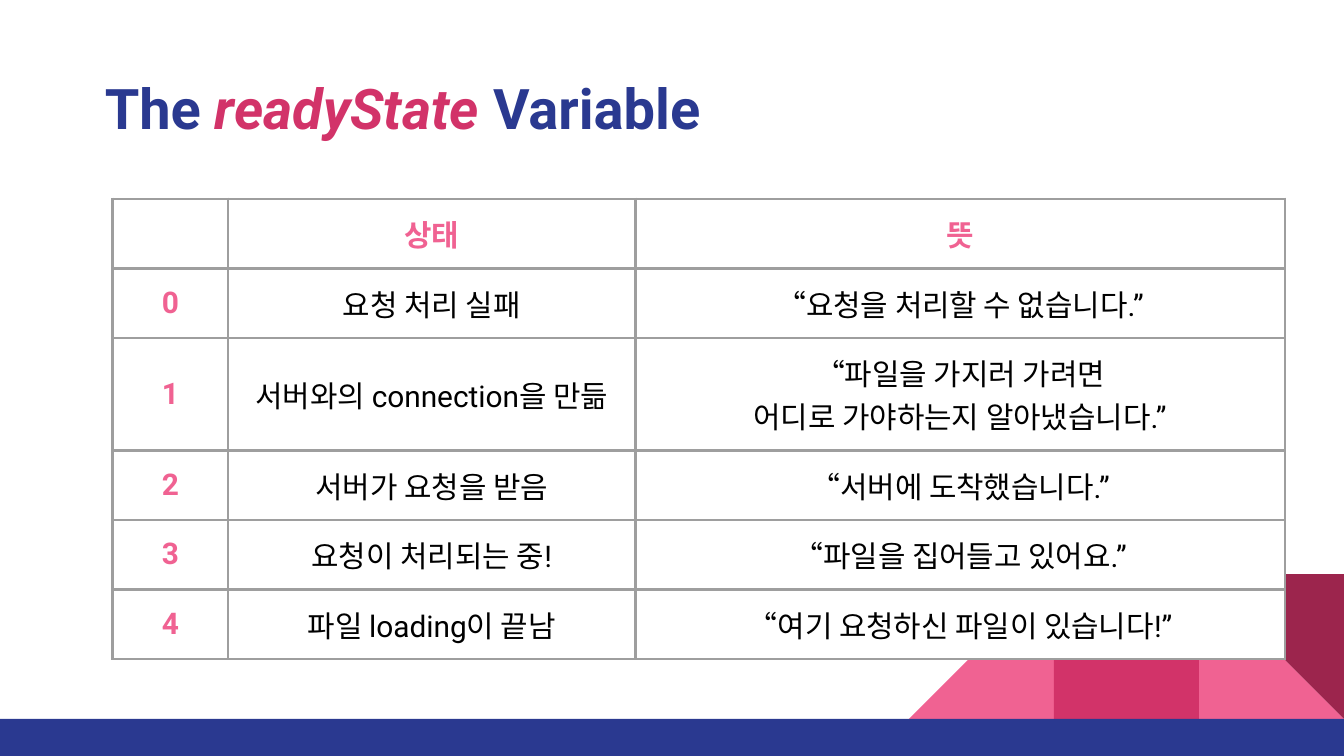
"""Build the slide that explains the values of the readyState variable."""
from lxml import etree
from pptx import Presentation
from pptx import util as u
from pptx.dml.color import RGBColor
from pptx.enum import shapes, text
from pptx.oxml.ns import qn

NAVY = RGBColor(0x2A, 0x39, 0x90)
PINK = RGBColor(0xF0, 0x62, 0x92)
ROSE = RGBColor(0xD2, 0x33, 0x69)
WINE = RGBColor(0x9C, 0x25, 0x4D)
GREY = RGBColor(0x9E, 0x9E, 0x9E)
BLACK = RGBColor(0x00, 0x00, 0x00)
WHITE = RGBColor(0xFF, 0xFF, 0xFF)

FONT = "Roboto"
INSET = u.Cm(0.25)
PAGE_WIDTH, PAGE_HEIGHT = u.Cm(25.4), u.Cm(14.29)
BAND_TOP = u.Cm(13.59)
TILE = u.Cm(2.74)
COLUMN_WIDTHS = [u.Cm(2.18), u.Cm(7.7), u.Cm(12.27)]
ROW_HEIGHT = u.Cm(1.08)

TITLE = [("The ", NAVY, False), ("readyState ", ROSE, True), ("Variable", NAVY, False)]
STATES = [
    ("", "상태", "뜻"),
    ("0", "요청 처리 실패", "“요청을 처리할 수 없습니다.”"),
    ("1", "서버와의 connection을 만듦", "“파일을 가지러 가려면\n어디로 가야하는지 알아냈습니다.”"),
    ("2", "서버가 요청을 받음", "“서버에 도착했습니다.”"),
    ("3", "요청이 처리되는 중!", "“파일을 집어들고 있어요.”"),
    ("4", "파일 loading이 끝남", "“여기 요청하신 파일이 있습니다!”"),
]


def add_block(page, kind, left, top, width, height, color):
    """Add a flat shape without outline or shadow and return it."""
    block = page.shapes.add_shape(kind, left, top, width, height)
    block.shadow.inherit = False
    block.fill.solid()
    block.fill.fore_color.rgb = color
    block.line.fill.background()
    return block


def add_decoration(page):
    """Add the folded corner tiles and the band along the bottom."""
    triangle, rectangle = shapes.MSO_SHAPE.RIGHT_TRIANGLE, shapes.MSO_SHAPE.RECTANGLE
    top = BAND_TOP - TILE
    left, middle, right = (PAGE_WIDTH - count * TILE for count in (3, 2, 1))
    add_block(page, triangle, right, top, TILE, TILE, PINK)
    slope = add_block(page, triangle, left, top, TILE, TILE, PINK)
    slope._element.spPr.xfrm.set("flipH", "1")
    add_block(page, rectangle, middle, top, TILE, TILE, ROSE)
    add_block(page, triangle, right, top, TILE, TILE, WINE).rotation = 180
    add_block(page, rectangle, 0, BAND_TOP, PAGE_WIDTH, PAGE_HEIGHT - BAND_TOP, NAVY)


def set_title(page):
    """Place the title and write its coloured runs."""
    box = page.shapes.title
    box.left, box.top, box.width, box.height = u.Cm(1.73), u.Cm(1.14), u.Cm(22.81), u.Cm(1.68)
    frame = box.text_frame
    frame.auto_size = text.MSO_AUTO_SIZE.NONE
    frame.word_wrap = True
    frame.vertical_anchor = text.MSO_ANCHOR.TOP
    frame.margin_left = frame.margin_right = frame.margin_top = frame.margin_bottom = INSET
    para = frame.paragraphs[0]
    para.alignment = text.PP_ALIGN.LEFT
    for words, color, italic in TITLE:
        span = para.add_run()
        span.text = words
        span.font.name, span.font.size, span.font.bold = FONT, u.Pt(30), True
        span.font.italic = italic
        span.font.color.rgb = color


def set_borders(cell):
    """Draw a grey line on all four sides of a cell."""
    properties = cell._tc.get_or_add_tcPr()
    for side in ("lnL", "lnR", "lnT", "lnB"):
        line = etree.SubElement(properties, qn(f"a:{side}"), w=str(u.Pt(1.5)))
        fill = etree.SubElement(line, qn("a:solidFill"))
        etree.SubElement(fill, qn("a:srgbClr"), val=str(GREY))


def fill_cell(cell, words, heading):
    """Write and format one table cell."""
    set_borders(cell)
    cell.fill.solid()
    cell.fill.fore_color.rgb = WHITE
    cell.vertical_anchor = text.MSO_ANCHOR.MIDDLE
    cell.margin_left = cell.margin_right = cell.margin_top = cell.margin_bottom = INSET
    cell.text_frame.text = words
    for para in cell.text_frame.paragraphs:
        para.alignment = text.PP_ALIGN.CENTER
        para.font.name, para.font.size, para.font.bold = FONT, u.Pt(16), heading
        para.font.color.rgb = PINK if heading else BLACK


def add_state_table(page):
    """Add the table of state numbers, states and meanings."""
    table = page.shapes.add_table(
        len(STATES), len(COLUMN_WIDTHS), u.Cm(2.13), u.Cm(3.76),
        sum(COLUMN_WIDTHS), ROW_HEIGHT * len(STATES)).table
    for column, width in zip(table.columns, COLUMN_WIDTHS):
        column.width = width
    for row, state in enumerate(STATES):
        table.rows[row].height = ROW_HEIGHT
        for column, words in enumerate(state):
            fill_cell(table.cell(row, column), words, row == 0 or column == 0)


def main():
    """Build and save the deck."""
    deck = Presentation()
    deck.slide_width, deck.slide_height = PAGE_WIDTH, PAGE_HEIGHT
    page = deck.slides.add_slide(deck.slide_layouts[5])
    add_decoration(page)
    set_title(page)
    add_state_table(page)
    deck.save("out.pptx")


if __name__ == "__main__":
    main()
